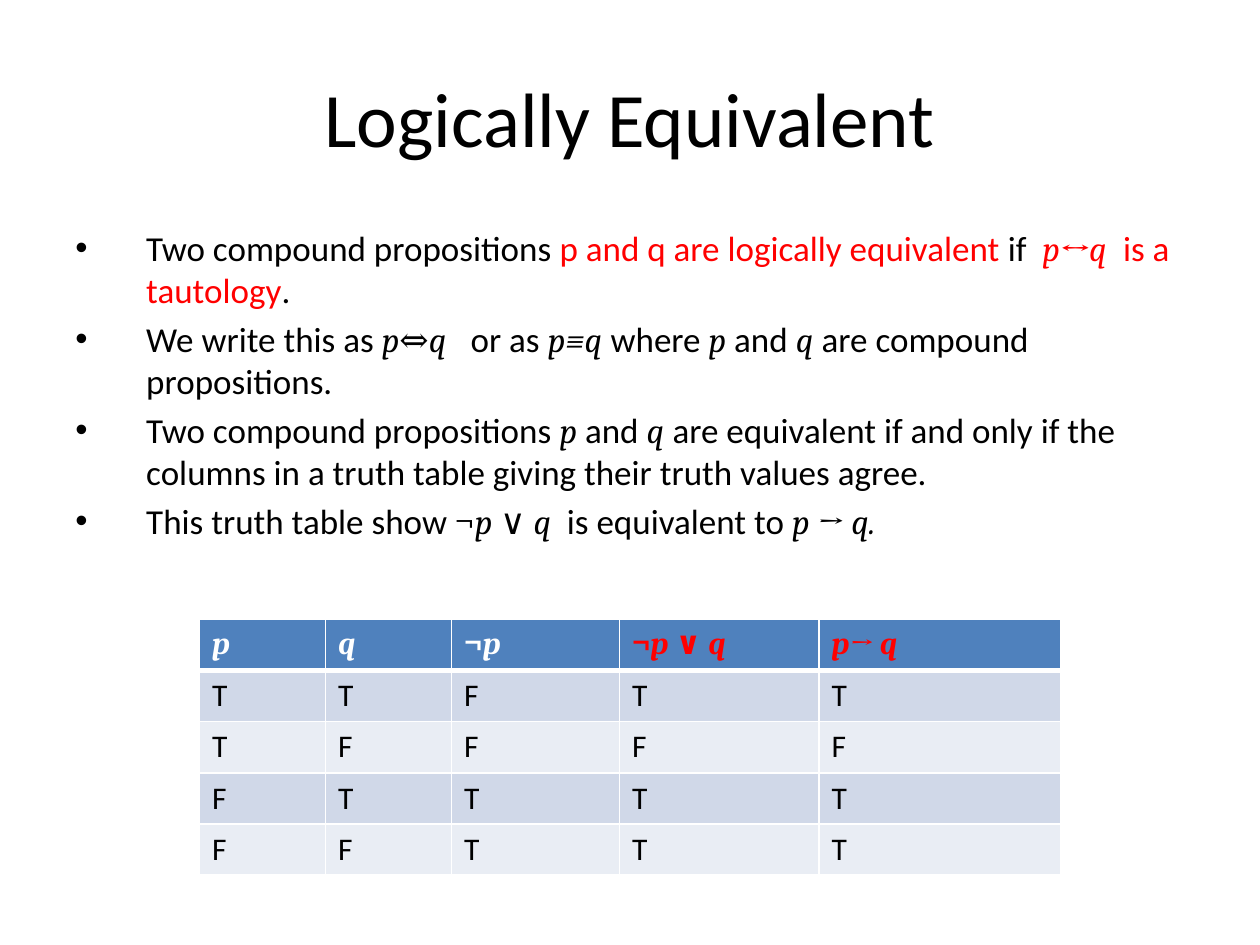
"""Build the slide on logical equivalence with its truth table."""
import pptx
import pptx.dml.color
import pptx.enum.text
import pptx.oxml
import pptx.oxml.ns
import pptx.util

Pt = pptx.util.Pt
RGB = pptx.dml.color.RGBColor.from_string
THEME = {
    "black": "000000", "red": "FF0000", "white": "FFFFFF",
    "head": "4F81BD", "bands": ("D0D8E8", "E9EDF4"),
    "title": 44, "body": 20, "cell": 18,
}
STYLES = {
    "text": {"name": "Calibri", "italic": False},
    "math": {"name": "Cambria", "italic": True},
    "sign": {"name": "Cambria", "italic": False},
}


def write(para, parts, size, color="black", bold=False):
    for text, style, *tint in parts:
        run = para.add_run()
        run.text = text
        look = {**STYLES[style], "size": Pt(size), "bold": bold}
        for key, value in look.items():
            setattr(run.font, key, value)
        run.font.color.rgb = RGB(THEME[tint[0] if tint else color])


def element(tag, attrs, inner=""):
    space = pptx.oxml.ns.nsdecls("a")
    return pptx.oxml.parse_xml(f"<a:{tag} {space} {attrs}>{inner}</a:{tag}>")


deck = pptx.Presentation()
deck.slide_width, deck.slide_height = Pt(720), Pt(540)
slide = deck.slides.add_slide(deck.slide_layouts[6])

title = slide.shapes.add_textbox(Pt(36), Pt(21.6), Pt(648), Pt(90)).text_frame
title.word_wrap = True
title.vertical_anchor = pptx.enum.text.MSO_ANCHOR.MIDDLE
title.paragraphs[0].alignment = pptx.enum.text.PP_ALIGN.CENTER
write(title.paragraphs[0], [("Logically Equivalent", "text")], THEME["title"])

points = [
    [("Two compound propositions ", "text"),
     ("p and q are logically equivalent", "text", "red"), (" if  ", "text"),
     ("p↔q", "math", "red"), ("  is a tautology", "text", "red"), (".", "text")],
    [("We write this as ", "text"), ("p⇔q", "math"), ("   or as ", "text"),
     ("p≡q", "math"), (" where ", "text"), ("p", "math"), (" and ", "text"),
     ("q", "math"), (" are compound propositions.", "text")],
    [("Two compound propositions ", "text"), ("p", "math"), (" and ", "text"),
     ("q", "math"),
     (" are equivalent if and only if the columns in a truth table giving "
      "their truth values agree.", "text")],
    [("This truth table show ", "text"), ("¬", "sign"), ("p ", "math"),
     ("∨ ", "sign"), ("q  ", "math"), ("is equivalent to ", "text"),
     ("p → q.", "math")],
]
body = slide.shapes.add_textbox(Pt(36), Pt(126), Pt(648), Pt(356.4)).text_frame
body.word_wrap = True
for index, parts in enumerate(points):
    para = body.add_paragraph() if index else body.paragraphs[0]
    props = para._p.get_or_add_pPr()
    props.set("marL", str(Pt(40.5)))
    props.set("indent", str(-Pt(40.5)))
    props.append(element("buFont", 'typeface="Arial"'))
    props.append(element("buChar", 'char="•"'))
    if index:
        para.space_before = Pt(4)
    write(para, parts, THEME["body"])

heads = [
    [("p", "math")],
    [("q", "math")],
    [("¬", "sign"), ("p", "math")],
    [("¬", "sign", "red"), ("p ", "math", "red"), ("∨ ", "sign", "red"),
     ("q", "math", "red")],
    [("p→ q", "math", "red")],
]
truths = ["TTFTT", "TFFFF", "FTTTT", "FFTTT"]
rows = [heads] + [[[(mark, "text")] for mark in line] for line in truths]
widths = [72, 72, 96, 114, 138]
table = slide.shapes.add_table(
    len(rows), len(widths), Pt(114), Pt(354), Pt(sum(widths)), Pt(146)).table
for column, width in zip(table.columns, widths):
    column.width = Pt(width)
for r, row in enumerate(rows):
    table.rows[r].height = Pt(29.2)
    for c, parts in enumerate(row):
        cell = table.cell(r, c)
        cell.fill.solid()
        cell.fill.fore_color.rgb = RGB(
            THEME["bands"][(r - 1) % 2] if r else THEME["head"])
        edges = {"L": 1, "R": 1, "T": 3 if r == 1 else 1, "B": 1 if r else 3}
        for place, (side, weight) in enumerate(edges.items()):
            paint = f'<a:solidFill><a:srgbClr val="{THEME["white"]}"/></a:solidFill>'
            line = element(f"ln{side}", f'w="{Pt(weight)}"', paint)
            cell._tc.get_or_add_tcPr().insert(place, line)
        write(cell.text_frame.paragraphs[0], parts, THEME["cell"],
              "black" if r else "white", r == 0)

deck.save("out.pptx")
